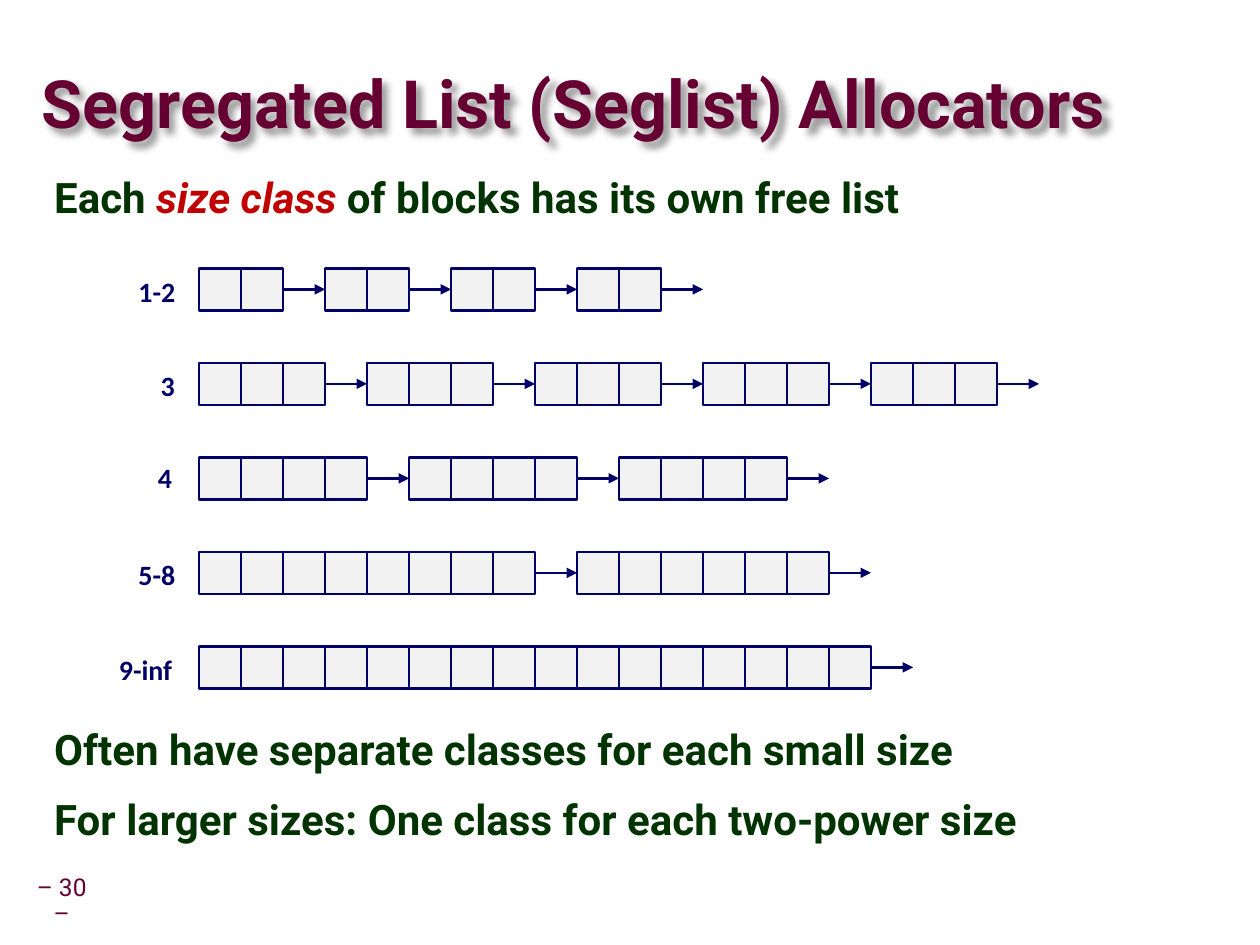
from lxml import etree
from pptx import Presentation
from pptx.dml.color import RGBColor
from pptx.enum.shapes import MSO_CONNECTOR, MSO_SHAPE
from pptx.enum.text import MSO_ANCHOR, MSO_AUTO_SIZE, PP_ALIGN
from pptx.oxml.ns import qn
from pptx.util import Inches, Pt

RECTANGLE = MSO_SHAPE.RECTANGLE
STRAIGHT = MSO_CONNECTOR.STRAIGHT
MIDDLE = MSO_ANCHOR.MIDDLE
TOP = MSO_ANCHOR.TOP
NO_AUTOFIT = MSO_AUTO_SIZE.NONE
LEFT = PP_ALIGN.LEFT
CENTER = PP_ALIGN.CENTER

MAROON = RGBColor(0x66, 0x00, 0x33)
GREEN = RGBColor(0x00, 0x33, 0x00)
RED = RGBColor(0xC0, 0x00, 0x00)
NAVY = RGBColor(0x00, 0x00, 0x66)
LIGHT_GRAY = RGBColor(0xF2, 0xF2, 0xF2)

CELL = 1 / 3
LIST_LEFT = 1.58
FIRST_ROW_TOP = 2.13
ROW_PITCH = 0.75

SIZE_CLASSES = [
    ("1-2", 1.0, 2.13, 0.49, [2, 2, 2, 2]),
    ("3", 1.17, 2.88, 0.32, [3, 3, 3, 3, 3]),
    ("4", 1.15, 3.61, 0.32, [4, 4, 4]),
    ("5-8", 1.0, 4.38, 0.49, [8, 6]),
    ("9-inf", 0.84, 5.13, 0.63, [16]),
]

STATEMENTS = [
    ([("Each ", False), ("size class ", True), ("of blocks has its own free list", False)], 0),
    ([("Often have separate classes for each small size", False)], 288),
    ([("For larger sizes: One class for each two-power size", False)], 12.7),
]


class SlideBuilder:
    heading_font = "Roboto"
    label_font = "Calibri"
    line_width = Pt(1.5)

    def __init__(self, presentation):
        self.slide = presentation.slides.add_slide(presentation.slide_layouts[1])

    def place(self, shape, left, top, width, height):
        shape.left, shape.top = Inches(left), Inches(top)
        shape.width, shape.height = Inches(width), Inches(height)

    def style_font(self, font, name, size, color, bold=False, italic=False):
        font.name = name
        font.size = Pt(size)
        font.color.rgb = color
        font.bold = bold
        font.italic = italic

    def set_margins(self, text_frame, horizontal, vertical):
        text_frame.margin_left = text_frame.margin_right = Inches(horizontal)
        text_frame.margin_top = text_frame.margin_bottom = Inches(vertical)

    def title(self, text):
        shape = self.slide.shapes.title
        self.place(shape, 0.33, 0.54, 9, 0.63)
        text_frame = shape.text_frame
        text_frame.text = text
        text_frame.auto_size = NO_AUTOFIT
        text_frame.vertical_anchor = MIDDLE
        self.set_margins(text_frame, 0, 0)
        paragraph = text_frame.paragraphs[0]
        paragraph.alignment = LEFT
        paragraph.line_spacing = 0.87
        self.style_font(paragraph.runs[0].font, self.heading_font, 38, MAROON, bold=True)
        effects = etree.SubElement(shape.element.spPr, qn("a:effectLst"))
        shadow = etree.SubElement(effects, qn("a:outerShdw"), blurRad=str(Pt(4)),
                                  dist=str(Pt(4)), dir="2700000", algn="tl")
        color = etree.SubElement(shadow, qn("a:srgbClr"), val="000000")
        etree.SubElement(color, qn("a:alpha"), val="40000")

    def body(self, statements):
        shape = self.slide.placeholders[1]
        self.place(shape, 0.33, 1.34, 9.09, 5.75)
        text_frame = shape.text_frame
        text_frame.auto_size = NO_AUTOFIT
        text_frame.vertical_anchor = TOP
        self.set_margins(text_frame, 0.1, 0.05)
        for index, (parts, space_before) in enumerate(statements):
            paragraph = text_frame.add_paragraph() if index else text_frame.paragraphs[0]
            properties = paragraph._p.get_or_add_pPr()
            properties.set("marL", str(Inches(0.42)))
            properties.set("indent", str(Inches(-0.42)))
            etree.SubElement(properties, qn("a:buNone"))
            paragraph.line_spacing = 0.95
            paragraph.space_before = Pt(space_before)
            for text, emphasized in parts:
                run = paragraph.add_run()
                run.text = text
                self.style_font(run.font, self.heading_font, 24,
                                RED if emphasized else GREEN, bold=True, italic=emphasized)

    def text_box(self, text, left, top, width, height, wrap, margin):
        text_frame = self.slide.shapes.add_textbox(
            Inches(left), Inches(top), Inches(width), Inches(height)).text_frame
        text_frame.text = text
        text_frame.word_wrap = wrap
        self.set_margins(text_frame, margin, 0.05)
        text_frame.paragraphs[0].alignment = CENTER
        return text_frame

    def page_number(self, text):
        text_frame = self.text_box(text, 0.24, 7, 0.5, 0.31, True, 0.05)
        text_frame.vertical_anchor = MIDDLE
        paragraph = text_frame.paragraphs[0]
        paragraph.line_spacing = 0.9
        self.style_font(paragraph.runs[0].font, self.heading_font, 14, MAROON)

    def label(self, text, left, top, width):
        text_frame = self.text_box(text, left, top, width, 0.37, False, 0.1)
        self.style_font(text_frame.paragraphs[0].runs[0].font,
                        self.label_font, 16, NAVY, bold=True)

    def cell(self, left, top):
        shape = self.slide.shapes.add_shape(
            RECTANGLE, Inches(left), Inches(top), Inches(CELL), Inches(CELL))
        shape.shadow.inherit = False
        shape.fill.solid()
        shape.fill.fore_color.rgb = LIGHT_GRAY
        shape.line.color.rgb = NAVY
        shape.line.width = self.line_width

    def arrow(self, left, y):
        connector = self.slide.shapes.add_connector(
            STRAIGHT, Inches(left), Inches(y), Inches(left + CELL), Inches(y))
        connector.line.color.rgb = NAVY
        connector.line.width = self.line_width
        etree.SubElement(connector.line._get_or_add_ln(), qn("a:tailEnd"), type="triangle")
        etree.SubElement(connector._element.spPr, qn("a:effectLst"))

    def free_list(self, top, block_sizes):
        left = LIST_LEFT
        for size in block_sizes:
            for _ in range(size):
                self.cell(left, top)
                left += CELL
            self.arrow(left, top + CELL / 2)
            left += CELL


def main():
    presentation = Presentation()
    presentation.slide_width = Inches(10)
    presentation.slide_height = Inches(7.5)
    builder = SlideBuilder(presentation)
    builder.page_number("– 30 –")
    builder.title("Segregated List (Seglist) Allocators")
    builder.body(STATEMENTS)
    for row, (name, left, top, width, block_sizes) in enumerate(SIZE_CLASSES):
        builder.free_list(FIRST_ROW_TOP + row * ROW_PITCH, block_sizes)
        builder.label(name, left, top, width)
    presentation.save("out.pptx")


if __name__ == "__main__":
    main()
